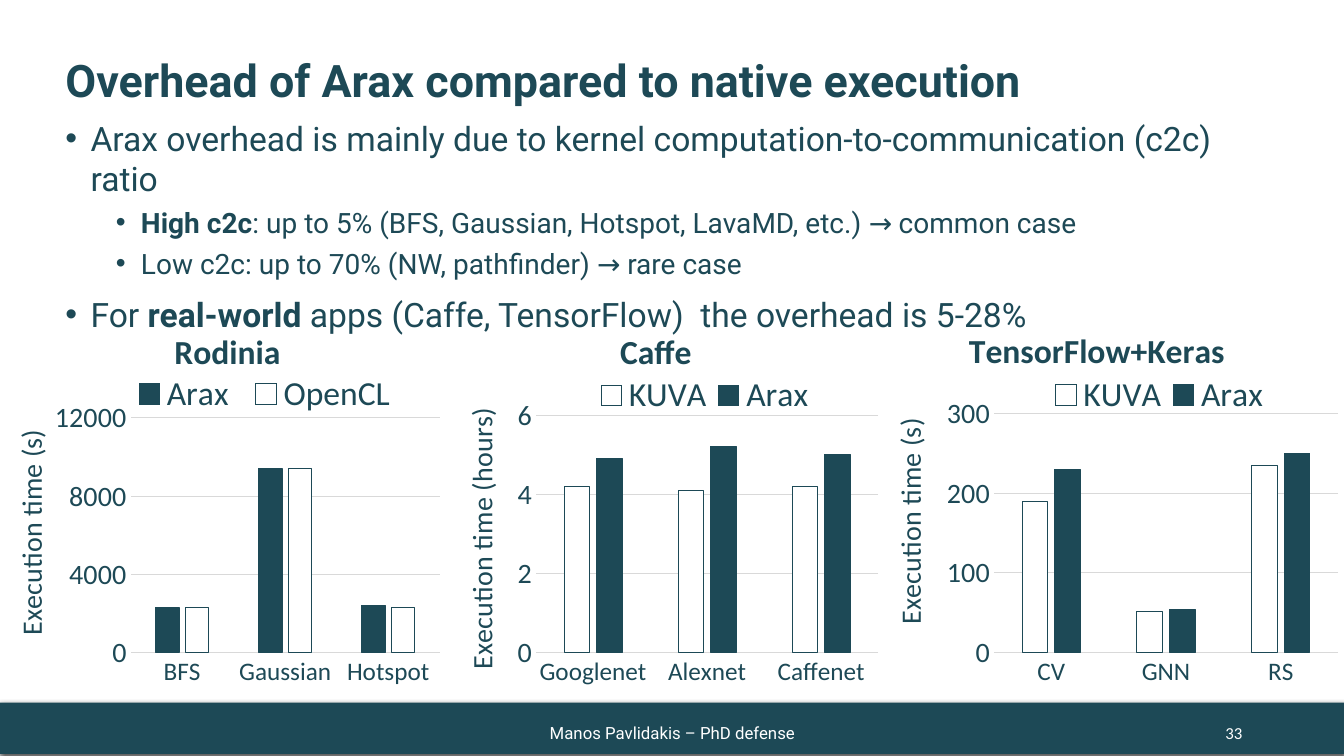
from lxml import etree
from pptx import Presentation
from pptx.chart.data import CategoryChartData
from pptx.dml.color import RGBColor
from pptx.enum.chart import XL_CHART_TYPE, XL_LEGEND_POSITION, XL_TICK_MARK
from pptx.enum.shapes import MSO_SHAPE
from pptx.enum.text import MSO_ANCHOR, PP_ALIGN
from pptx.oxml import parse_xml
from pptx.oxml.ns import nsdecls, qn
from pptx.util import Inches, Pt

COLUMNS = XL_CHART_TYPE.COLUMN_CLUSTERED
LEGEND_BOTTOM = XL_LEGEND_POSITION.BOTTOM
NO_TICK = XL_TICK_MARK.NONE
RECTANGLE = MSO_SHAPE.RECTANGLE
MIDDLE = MSO_ANCHOR.MIDDLE
LEFT, CENTER, RIGHT = PP_ALIGN.LEFT, PP_ALIGN.CENTER, PP_ALIGN.RIGHT

COLORS = {"teal": "1D4956", "white": "FFFFFF", "grid": "D9D9D9"}
TEXT_FONT, CHART_FONT = "Roboto", "Calibri"

# Each bullet: level, runs of (text, bold)
BULLETS = [
    (0, [("Arax overhead is mainly due to kernel computation-to-communication (c2c) ratio", False)]),
    (1, [("High c2c", True),
         (": up to 5% (BFS, Gaussian, Hotspot, LavaMD, etc.) → common case", False)]),
    (1, [("Low c2c: up to 70% (NW, pathfinder) → rare case", False)]),
    (0, [("For ", False), ("real-world", True),
         (" apps (Caffe, TensorFlow)  the overhead is 5-28%", False)]),
]

# box, plot, legend: left, top, width, height; title, axis_at: left, top.
# Plot is in fractions of the box, everything else in inches on the slide.
BENCHMARKS = [
    dict(name="Caffe", box=(3.78, 3, 4.99, 4.5), plot=(0.308, 0.249, 0.68, 0.522),
         title=(6.09, 3.2), legend=(5.84, 3.71, 2.3, 0.42),
         axis="Execution time (hours)", axis_at=(4.53, 4), top=6, step=2,
         categories=["Googlenet", "Alexnet", "Caffenet"],
         series=[("KUVA", (4.2, 4.1, 4.2), "white"), ("Arax", (4.9, 5.2, 5), "teal")]),
    dict(name="TensorFlow+Keras", box=(8.58, 2.96, 4.75, 4.8),
         plot=(0.269, 0.238, 0.719, 0.494),
         title=(9.55, 3.19), legend=(10.35, 3.71, 2.3, 0.42),
         axis="Execution time (s)", axis_at=(8.78, 4.1), top=300, step=100,
         categories=["CV", "GNN", "RS"],
         series=[("KUVA", (190, 51, 235), "white"), ("Arax", (230, 54, 250), "teal")]),
    dict(name="Rodinia", box=(0.06, 3.2, 4.35, 4.34), plot=(0.284, 0.218, 0.705, 0.536),
         title=(1.67, 3.2), legend=(1.22, 3.7, 2.81, 0.42),
         axis="Execution time (s)", axis_at=(0.06, 4.21), top=12000, step=4000,
         categories=["BFS", "Gaussian", "Hotspot"],
         series=[("Arax", (2300, 9400, 2400), "teal"),
                 ("OpenCL", (2300, 9400, 2300), "white")]),
]


def rgb(color):
    return RGBColor.from_string(COLORS[color])


def style(font, size, color="teal", name=TEXT_FONT, bold=False):
    font.size, font.name, font.bold = Pt(size), name, bold
    font.color.rgb = rgb(color)


def place(box):
    return [Inches(length) for length in box]


def add_line(slide, box, text, size, color="teal", name=TEXT_FONT, bold=False, align=LEFT,
             spacing=1.0):
    frame = slide.shapes.add_textbox(*place(box)).text_frame
    frame.word_wrap = True
    frame.vertical_anchor = MIDDLE
    line = frame.paragraphs[0]
    line.text = text
    line.alignment = align
    line.line_spacing = spacing
    style(line.runs[0].font, size, color, name, bold)


def add_bullets(slide, box):
    frame = slide.shapes.add_textbox(*place(box)).text_frame
    frame.word_wrap = True
    for index, (level, runs) in enumerate(BULLETS):
        bullet = frame.add_paragraph() if index else frame.paragraphs[0]
        bullet.level = level
        bullet.space_before = Pt(5 if level else 10)
        for text, bold in runs:
            run = bullet.add_run()
            run.text = text
            style(run.font, 20 if level else 24, bold=bold)
        properties = bullet._p.get_or_add_pPr()
        properties.set("marL", str(Inches(0.25 + 0.5 * level)))
        properties.set("indent", str(Inches(-0.25)))
        etree.SubElement(properties, qn("a:buFont")).set("typeface", "Arial")
        etree.SubElement(properties, qn("a:buChar")).set("char", "•")


def add_footer(slide, box):
    left, top, width, height = box
    bar = slide.shapes.add_shape(RECTANGLE, *place(box))
    bar.fill.solid()
    bar.fill.fore_color.rgb = rgb("teal")
    bar.line.fill.background()
    bar.shadow.inherit = False
    bar._element.spPr.find(qn("a:effectLst")).append(parse_xml(
        f'<a:outerShdw {nsdecls("a")} blurRad="{Pt(4.5)}" dist="{Pt(1.5)}" dir="5400000">'
        '<a:srgbClr val="000000"><a:alpha val="63000"/></a:srgbClr></a:outerShdw>'))
    add_line(slide, (left + 9.42, top + 0.1, 3, 0.4), "33", 12, "white", CHART_FONT, align=RIGHT)
    add_line(slide, (left + 4.42, top + 0.1, 4.5, 0.4), "Manos Pavlidakis – PhD defense",
             12, "white", align=CENTER)


def set_layout(element, index, fractions, inner=False):
    """Pin a chart part at fractions of the chart: left, top[, width, height]."""
    for previous in element.findall(qn("c:layout")):
        element.remove(previous)
    layout = etree.Element(qn("c:layout"))
    manual = etree.SubElement(layout, qn("c:manualLayout"))
    settings = [("layoutTarget", "inner")] if inner else []
    settings += [("xMode", "edge"), ("yMode", "edge")]
    settings += zip("xywh", fractions)
    for tag, value in settings:
        etree.SubElement(manual, qn(f"c:{tag}")).set("val", str(value))
    element.insert(index, layout)


def add_title(owner, text, size, bold, fractions):
    owner.has_title = True
    title = owner.chart_title if bold else owner.axis_title
    line = title.text_frame.paragraphs[0]
    line.text = text
    style(line.runs[0].font, size, name=CHART_FONT, bold=bold)
    set_layout(title._element, 1, fractions)


def add_benchmark(slide, benchmark):
    left, top, width, height = benchmark["box"]

    def fractions(x, y, *size):
        parts = [(x - left) / width, (y - top) / height]
        if size:
            parts += [size[0] / width, size[1] / height]
        return [round(part, 4) for part in parts]

    data = CategoryChartData()
    data.categories = benchmark["categories"]
    for name, values, _ in benchmark["series"]:
        data.add_series(name, values)
    chart = slide.shapes.add_chart(COLUMNS, *place(benchmark["box"]), data).chart
    style(chart.font, 10, name=CHART_FONT)
    chart._chartSpace.chart.addnext(parse_xml(
        f'<c:spPr {nsdecls("c", "a")}><a:noFill/><a:ln><a:noFill/></a:ln></c:spPr>'))
    add_title(chart, benchmark["name"], 24, True, fractions(*benchmark["title"]))

    # Legend
    chart.has_legend = True
    chart.legend.position = LEGEND_BOTTOM
    chart.legend.include_in_layout = False
    style(chart.legend.font, 24, name=CHART_FONT)
    set_layout(chart.legend._element, 1, fractions(*benchmark["legend"]))

    # Axes
    execution_time = chart.value_axis
    for axis, size in ((chart.category_axis, 18), (execution_time, 20)):
        axis.major_tick_mark = axis.minor_tick_mark = NO_TICK
        axis.format.line.fill.background()
        style(axis.tick_labels.font, size, name=CHART_FONT)
    execution_time.minimum_scale, execution_time.maximum_scale = 0, benchmark["top"]
    execution_time.major_unit = benchmark["step"]
    execution_time.major_gridlines.format.line.color.rgb = rgb("grid")
    execution_time.major_gridlines.format.line.width = Pt(0.75)
    add_title(execution_time, benchmark["axis"], 20, False, fractions(*benchmark["axis_at"]))

    # Bars
    plot = chart.plots[0]
    plot.gap_width, plot.overlap, plot.vary_by_categories = 219, -27, False
    for bars, (_, _, color) in zip(plot.series, benchmark["series"]):
        bars.invert_if_negative = False
        bars.format.fill.solid()
        bars.format.fill.fore_color.rgb = rgb(color)
        bars.format.line.color.rgb = rgb("teal")
        bars.format.line.width = Pt(0.75)
    set_layout(chart._chartSpace.chart.plotArea, 0, benchmark["plot"], inner=True)


def main():
    deck = Presentation()
    deck.slide_width, deck.slide_height = Inches(13.33), Inches(7.5)
    slide = deck.slides.add_slide(deck.slide_layouts[6])
    add_footer(slide, (0, 6.97, 13.33, 0.51))
    add_line(slide, (0.55, 0.4, 12.48, 0.85), "Overhead of Arax compared to native execution",
             32, bold=True, spacing=0.9)
    add_bullets(slide, (0.55, 1.12, 12.24, 2.2))
    for benchmark in BENCHMARKS:
        add_benchmark(slide, benchmark)
    deck.save("out.pptx")


if __name__ == "__main__":
    main()
